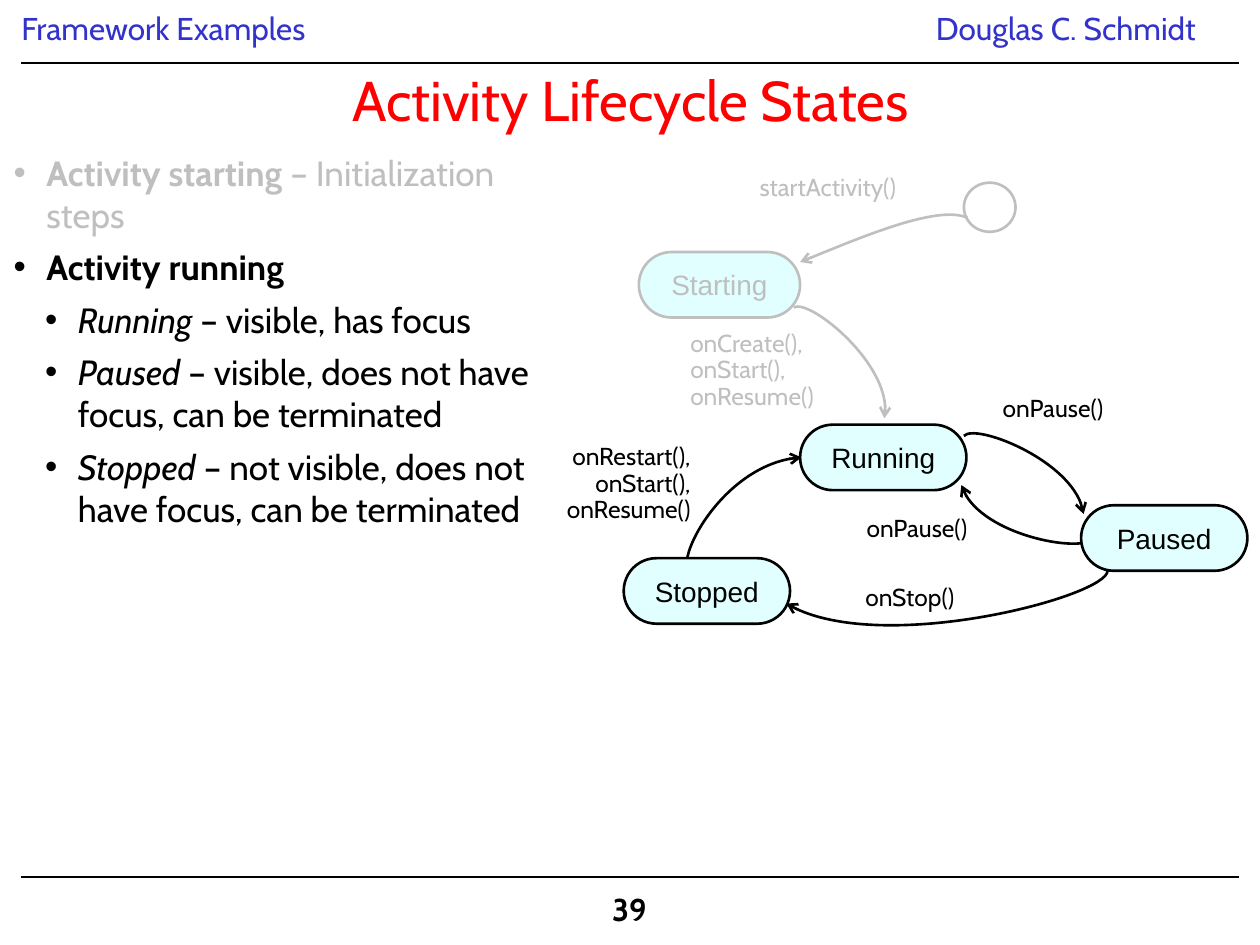
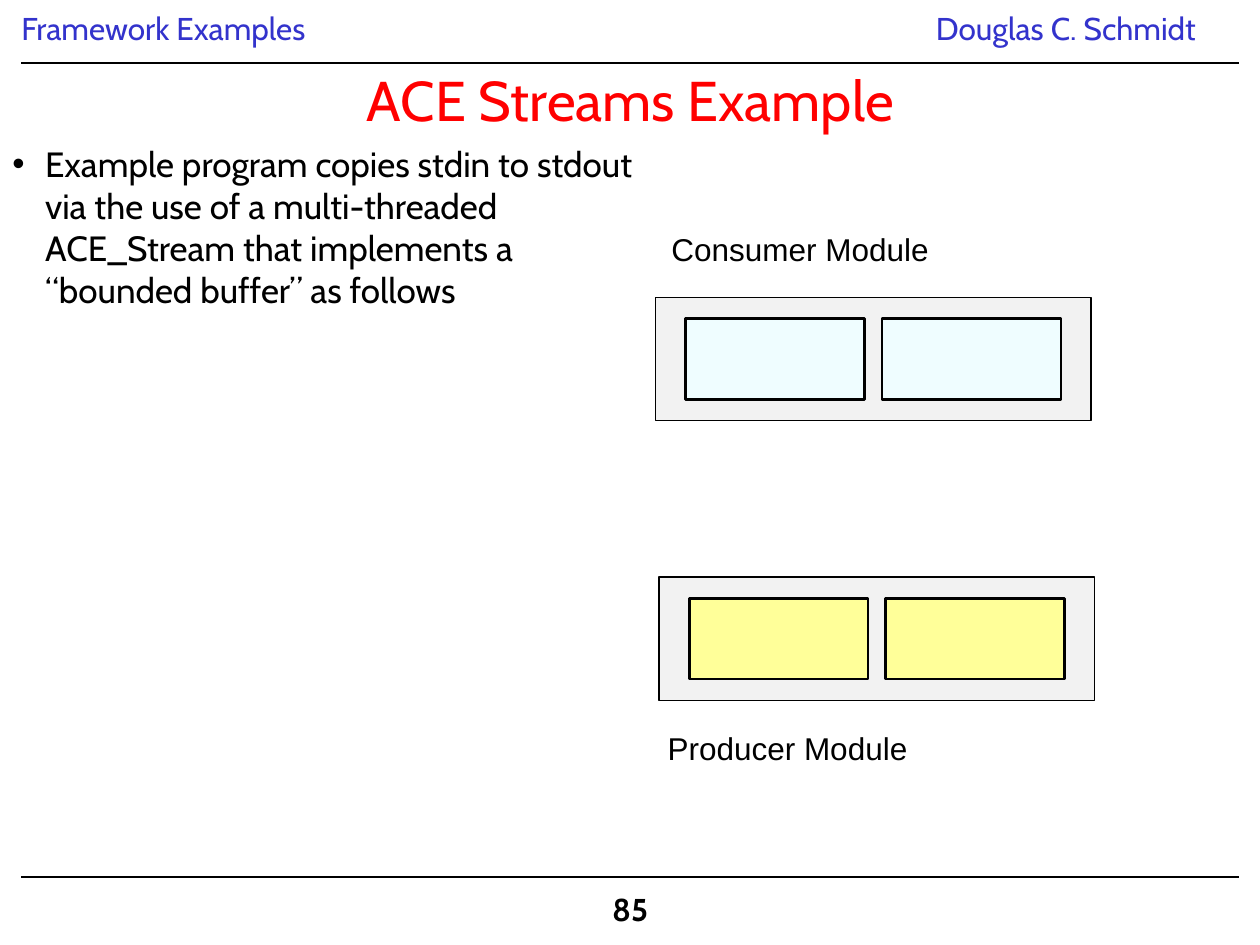
"""Build two framework example slides: activity lifecycle states and stream modules."""
from dataclasses import dataclass

from lxml import etree
from pptx import Presentation
from pptx.dml.color import RGBColor
from pptx.enum.shapes import MSO_CONNECTOR, MSO_SHAPE
from pptx.enum.text import MSO_ANCHOR, PP_ALIGN
from pptx.oxml.ns import qn
from pptx.util import Inches, Pt

LEFT, CENTER, RIGHT = PP_ALIGN.LEFT, PP_ALIGN.CENTER, PP_ALIGN.RIGHT
MIDDLE = MSO_ANCHOR.MIDDLE
RECTANGLE, OVAL = MSO_SHAPE.RECTANGLE, MSO_SHAPE.OVAL
PILL = MSO_SHAPE.ROUNDED_RECTANGLE
STRAIGHT = MSO_CONNECTOR.STRAIGHT


@dataclass(frozen=True)
class Theme:
    text_font: str = "Cabin"
    diagram_font: str = "Arial"
    black: str = "000000"
    white: str = "FFFFFF"
    faded: str = "BFBFBF"
    header: str = "3333CC"
    title: str = "FF0000"
    state: str = "E1FFFF"
    module: str = "F2F2F2"
    consumer: str = "EFFDFF"
    producer: str = "FFFF99"
    title_size: int = 32
    body_size: int = 20
    header_size: int = 18
    state_size: int = 16
    call_size: int = 14
    thin: float = 0.75
    thick: float = 1.5


THEME = Theme()
BLACK, FADED = THEME.black, THEME.faded

HEADERS = [("Framework Examples", (0.17, 0.06, 5.92, 0.37), 0),
           ("Douglas C. Schmidt", (7.33, 0.06, 2.51, 0.4), 0.1)]
RULE_TOPS = (0.5, 6.96)
RULE_ENDS = (0.17, 9.83)

LIFECYCLE_BULLETS = [
    (0, FADED, [("Activity starting ", "b"), ("– Initialization steps", "")]),
    (0, BLACK, [("Activity running", "b")]),
    (1, BLACK, [("Running ", "i"), ("– visible, has focus", "")]),
    (1, BLACK, [("Paused", "i"),
                (" – visible, does not have focus, can be terminated", "")]),
    (1, BLACK, [("Stopped", "i"),
                (" – not visible, does not have focus, can be terminated", "")]),
]
STATES = [
    ("Starting", (5.07, 2, 1.28, 0.52), FADED),
    ("Running", (6.35, 3.37, 1.32, 0.52), BLACK),
    ("Paused", (8.58, 4.01, 1.32, 0.52), BLACK),
    ("Stopped", (4.95, 4.43, 1.32, 0.52), BLACK),
]
ENTRY_CIRCLE = (7.65, 1.45, 0.41, 0.39)
TRANSITIONS = [
    (FADED, [(7.68, 1.73), (7.45, 1.62), (6.75, 1.92), (6.35, 2.08)]),
    (FADED, [(6.3, 2.44), (6.42, 2.37), (7.1, 2.91), (7.02, 3.32)]),
    (BLACK, [(5.5, 4.55), (5.31, 4.53), (5.72, 3.67), (6.36, 3.63)]),
    (BLACK, [(7.65, 3.46), (7.74, 3.36), (8.55, 3.67), (8.6, 4.08)]),
    (BLACK, [(8.68, 4.27), (8.61, 4.39), (7.75, 4.25), (7.63, 3.85)]),
    (BLACK, [(8.79, 4.53), (8.79, 4.73), (6.95, 5.22), (6.24, 4.79)]),
]
CALLS = [
    ("startActivity()", (5.93, 1.34, 1.37, 0.31), FADED, LEFT),
    ("onCreate(),\nonStart(),\nonResume()", (5.38, 2.58, 1.25, 0.74), FADED, LEFT),
    ("onRestart(),\nonStart(),\nonResume()", (4.32, 3.48, 1.26, 0.74), BLACK, RIGHT),
    ("onPause()", (7.86, 3.1, 1.08, 0.31), BLACK, LEFT),
    ("onPause()", (6.78, 4.05, 1.08, 0.31), BLACK, LEFT),
    ("onStop()", (6.77, 4.6, 0.96, 0.31), BLACK, LEFT),
]

STREAM_BULLETS = [(0, BLACK, [(
    "Example program copies stdin to stdout via the use of a multi-threaded "
    "ACE_Stream that implements a “bounded buffer” as follows", "")])]
MODULES = [
    ("Consumer Module", (5.23, 1.81, 2.26, 0.37), (5.2, 2.36), THEME.consumer),
    ("Producer Module", (5.2, 5.77, 2.12, 0.37), (5.23, 4.58), THEME.producer),
]
MODULE_WIDTH, MODULE_HEIGHT = 3.46, 0.98
QUEUE_WIDTH, QUEUE_HEIGHT, QUEUE_GAP = 1.42, 0.64, 0.14
QUEUES_PER_MODULE = 2


def color(value):
    return RGBColor.from_string(value)


def lengths(values):
    return [Inches(value) for value in values]


def style_font(font, size, value, name=THEME.text_font, bold=False):
    font.size, font.name, font.bold = Pt(size), name, bold
    font.color.rgb = color(value)


def write(shape, text, size, value, name=THEME.text_font, align=LEFT,
          bold=False, spacing=None, wrap=True, anchor=None):
    frame = shape.text_frame
    frame.word_wrap = wrap
    if anchor is not None:
        frame.vertical_anchor = anchor
    paragraph = frame.paragraphs[0]
    paragraph.text = text
    paragraph.alignment = align
    paragraph.line_spacing = spacing
    style_font(paragraph.font, size, value, name, bold)


def add_label(slide, text, box, size, value, **style):
    shape = slide.shapes.add_textbox(*lengths(box))
    write(shape, text, size, value, **style)
    return shape


def add_box(slide, kind, box, fill, line=None, width=THEME.thick):
    shape = slide.shapes.add_shape(kind, *lengths(box))
    shape.shadow.inherit = False
    shape.fill.solid()
    shape.fill.fore_color.rgb = color(fill)
    if line:
        shape.line.color.rgb = color(line)
        shape.line.width = Pt(width)
    else:
        shape.line.fill.background()
    return shape


def add_curved_arrow(slide, points, value):
    start, *others = [lengths(point) for point in points]
    builder = slide.shapes.build_freeform(*start)
    builder.add_line_segments(others, close=False)
    shape = builder.convert_to_shape()
    shape.shadow.inherit = False
    shape.fill.background()
    shape.line.color.rgb = color(value)
    shape.line.width = Pt(THEME.thick)
    outline = shape.element.find(".//" + qn("a:path"))
    curve = etree.SubElement(outline, qn("a:cubicBezTo"))
    for segment in outline.findall(qn("a:lnTo")):
        curve.append(segment[0])
        outline.remove(segment)
    line = shape.element.find(".//" + qn("a:ln"))
    etree.SubElement(line, qn("a:tailEnd"), type="arrow")


def add_bullets(slide, box, bullets):
    frame = slide.shapes.add_textbox(*lengths(box)).text_frame
    frame.word_wrap = True
    for index, (level, value, runs) in enumerate(bullets):
        paragraph = frame.add_paragraph() if index else frame.paragraphs[0]
        paragraph.level = level
        if index:
            paragraph.space_before = Pt(6)
        properties = paragraph._p.get_or_add_pPr()
        properties.set("marL", str(Inches(0.26 + 0.25 * level)))
        properties.set("indent", str(Inches(-0.26)))
        etree.SubElement(properties, qn("a:buFont"), typeface=THEME.diagram_font)
        etree.SubElement(properties, qn("a:buChar"), char="•")
        style_font(paragraph.font, THEME.body_size, value)
        for text, emphasis in runs:
            run = paragraph.add_run()
            run.text = text
            run.font.bold = emphasis == "b"
            run.font.italic = emphasis == "i"


def add_framed_slide(presentation, title, number):
    slide = presentation.slides.add_slide(presentation.slide_layouts[6])
    for text, box, inset in HEADERS:
        label = add_label(slide, text, box, THEME.header_size, THEME.header, spacing=0.9)
        label.text_frame.margin_left = label.text_frame.margin_right = Inches(inset)
    for top in RULE_TOPS:
        left, right = RULE_ENDS
        rule = slide.shapes.add_connector(STRAIGHT, *lengths((left, top, right, top)))
        rule.line.color.rgb = color(BLACK)
        rule.line.width = Pt(THEME.thin)
        etree.SubElement(rule.element.spPr, qn("a:effectLst"))
    number_box = add_box(slide, RECTANGLE, (4.76, 7.03, 0.51, 0.4), THEME.white)
    write(number_box, number, THEME.header_size, BLACK, bold=True, spacing=0.9, wrap=False)
    add_label(slide, title, (0.17, 0.58, 9.67, 0.42), THEME.title_size, THEME.title,
              align=CENTER, anchor=MIDDLE)
    return slide


def build_lifecycle(presentation):
    slide = add_framed_slide(presentation, "Activity Lifecycle States", "39")
    add_bullets(slide, (0.01, 1.15, 4.31, 5.53), LIFECYCLE_BULLETS)
    add_box(slide, OVAL, ENTRY_CIRCLE, THEME.white, FADED)
    for value, points in TRANSITIONS:
        add_curved_arrow(slide, points, value)
    for name, box, value in STATES:
        state = add_box(slide, PILL, box, THEME.state, value)
        state.adjustments[0] = 0.5
        write(state, name, THEME.state_size, value, name=THEME.diagram_font,
              align=CENTER, anchor=MIDDLE)
    for text, box, value, align in CALLS:
        add_label(slide, text, box, THEME.call_size, value, align=align,
                  spacing=0.9, wrap=False)


def build_streams(presentation):
    slide = add_framed_slide(presentation, "ACE Streams Example", "85")
    add_bullets(slide, (0, 1.08, 5.13, 5.67), STREAM_BULLETS)
    queues_width = QUEUES_PER_MODULE * (QUEUE_WIDTH + QUEUE_GAP) - QUEUE_GAP
    side = (MODULE_WIDTH - queues_width) / 2
    inset = (MODULE_HEIGHT - QUEUE_HEIGHT) / 2
    for name, label_box, (left, top), fill in MODULES:
        add_box(slide, RECTANGLE, (left, top, MODULE_WIDTH, MODULE_HEIGHT),
                THEME.module, BLACK, THEME.thin)
        for index in range(QUEUES_PER_MODULE):
            queue_left = left + side + index * (QUEUE_WIDTH + QUEUE_GAP)
            add_box(slide, RECTANGLE,
                    (queue_left, top + inset, QUEUE_WIDTH, QUEUE_HEIGHT), fill, BLACK)
        add_label(slide, name, label_box, THEME.header_size, BLACK,
                  name=THEME.diagram_font, spacing=0.9, wrap=False)


def main():
    presentation = Presentation()
    presentation.slide_width, presentation.slide_height = Inches(10), Inches(7.5)
    build_lifecycle(presentation)
    build_streams(presentation)
    presentation.save("out.pptx")


if __name__ == "__main__":
    main()
